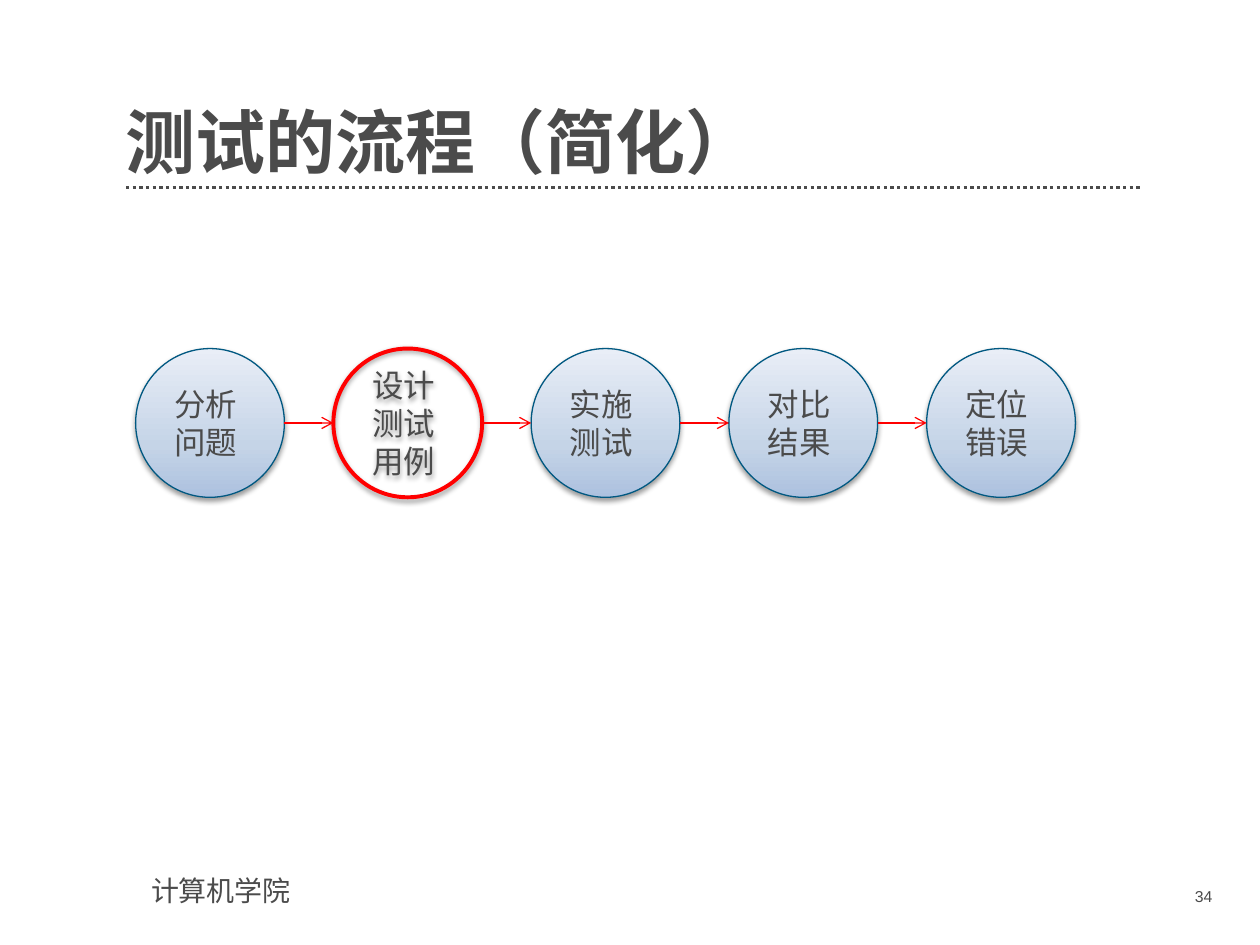
"""Build a slide showing the simplified testing process as linked circles."""
import copy

import pptx
import pptx.dml.color
import pptx.enum.dml
import pptx.enum.shapes
import pptx.enum.text
import pptx.oxml
import pptx.oxml.ns
import pptx.util

Pt = pptx.util.Pt
qn = pptx.oxml.ns.qn
ALIGN = pptx.enum.text.PP_ALIGN
ANCHOR = pptx.enum.text.MSO_ANCHOR

TITLE = "测试的流程（简化）"
COLLEGE = "计算机学院"
PAGE = "34"
STEPS = ["分析问题", "设计测试用例", "实施测试", "对比结果", "定位错误"]
HIGHLIGHTED = "设计测试用例"

INK, RED, BLUE = "4B4B4B", "FF0000", "005881"
GRADIENT = [(0, "ACC1DF"), (0.35, "C5D4E7"), (1, "E9EEF7")]
LATIN, CHINESE = "Arial", "Noto Sans CJK SC"

FIRST_LEFT, STEP_TOP, DIAMETER, PITCH = 77.5, 199.2, 85, 113
SHADOW = (
    f'blurRad="{Pt(3.1)}" dist="{Pt(1.6)}" dir="5400000" rotWithShape="0"',
    '<a:srgbClr val="000000"><a:alpha val="38000"/></a:srgbClr>',
)


def rgb(value):
    return pptx.dml.color.RGBColor.from_string(value)


def element(tag, attributes="", content=""):
    namespace = pptx.oxml.ns.nsdecls("a")
    return pptx.oxml.parse_xml(
        f"<a:{tag} {namespace} {attributes}>{content}</a:{tag}>")


def write(frame, text, size, font=LATIN, bold=False, align=ALIGN.LEFT,
          anchor=ANCHOR.TOP, margins=None):
    frame.word_wrap = True
    frame.vertical_anchor = anchor
    if margins:
        (frame.margin_left, frame.margin_top,
         frame.margin_right, frame.margin_bottom) = map(Pt, margins)
    paragraph = frame.paragraphs[0]
    paragraph.alignment = align
    run = paragraph.add_run()
    run.text = text
    run.font.size, run.font.bold, run.font.name = Pt(size), bold, font
    run.font.color.rgb = rgb(INK)
    east_asian = element("ea", f'typeface="{CHINESE}"')
    run._r.rPr.find(qn("a:latin")).addnext(east_asian)
    return paragraph


def add_text(slide, box, text, size, **style):
    frame = slide.shapes.add_textbox(*map(Pt, box)).text_frame
    return write(frame, text, size, **style)


def add_line(slide, start, end, color, width):
    line = slide.shapes.add_connector(
        pptx.enum.shapes.MSO_CONNECTOR.STRAIGHT, *map(Pt, start + end))
    line.line.color.rgb = rgb(color)
    line.line.width = Pt(width)
    line._element.spPr.append(element("effectLst"))
    return line


def fill_gradient(circle):
    circle.fill.gradient()
    circle.fill.gradient_angle = 90
    stop_list = circle._element.spPr.find(".//" + qn("a:gsLst"))
    stop_list.append(copy.deepcopy(stop_list[0]))
    for stop, (position, color) in zip(circle.fill.gradient_stops, GRADIENT):
        stop.position = position
        stop.color.rgb = rgb(color)


def add_step(slide, left, label):
    circle = slide.shapes.add_shape(
        pptx.enum.shapes.MSO_SHAPE.OVAL,
        *map(Pt, (left, STEP_TOP, DIAMETER, DIAMETER)))
    highlighted = label == HIGHLIGHTED
    if highlighted:
        circle.fill.background()
    else:
        fill_gradient(circle)
    circle.line.color.rgb = rgb(RED if highlighted else BLUE)
    circle.line.width = Pt(2.25 if highlighted else 0.75)
    circle.shadow.inherit = False
    effects = circle._element.spPr.find(qn("a:effectLst"))
    effects.append(element("outerShdw", *SHADOW))
    write(circle.text_frame, label, 18, align=ALIGN.RIGHT,
          anchor=ANCHOR.MIDDLE, margins=(0, 0, 14.4, 0))


def add_arrow(slide, left, right):
    middle = STEP_TOP + DIAMETER / 2
    arrow = add_line(slide, (left, middle), (right, middle), RED, 0.75)
    outline = arrow._element.spPr.find(qn("a:ln"))
    outline.append(element("tailEnd", 'type="arrow"'))


def main():
    deck = pptx.Presentation()
    deck.slide_width, deck.slide_height = Pt(720), Pt(540)
    slide = deck.slides.add_slide(deck.slide_layouts[6])

    rule = add_line(slide, (72, 107.3), (652.3, 107.3), INK, 1.9)
    rule.line.dash_style = pptx.enum.dml.MSO_LINE.ROUND_DOT
    add_text(slide, (79.2, 495.4, 181.4, 26.6), COLLEGE, 16)
    title = add_text(slide, (72, 39.6, 580.3, 65.5), TITLE, 40, font=CHINESE,
                     bold=True, anchor=ANCHOR.BOTTOM, margins=(0, 0, 0, 0))
    title.line_spacing = 0.9
    add_text(slide, (628.6, 503.3, 71.3, 20.9), PAGE, 9, align=ALIGN.RIGHT)

    lefts = [FIRST_LEFT + PITCH * index for index in range(len(STEPS))]
    for left, label in zip(lefts, STEPS):
        add_step(slide, left, label)
    for left, following in zip(lefts, lefts[1:]):
        add_arrow(slide, left + DIAMETER, following)

    deck.save("out.pptx")


if __name__ == "__main__":
    main()
